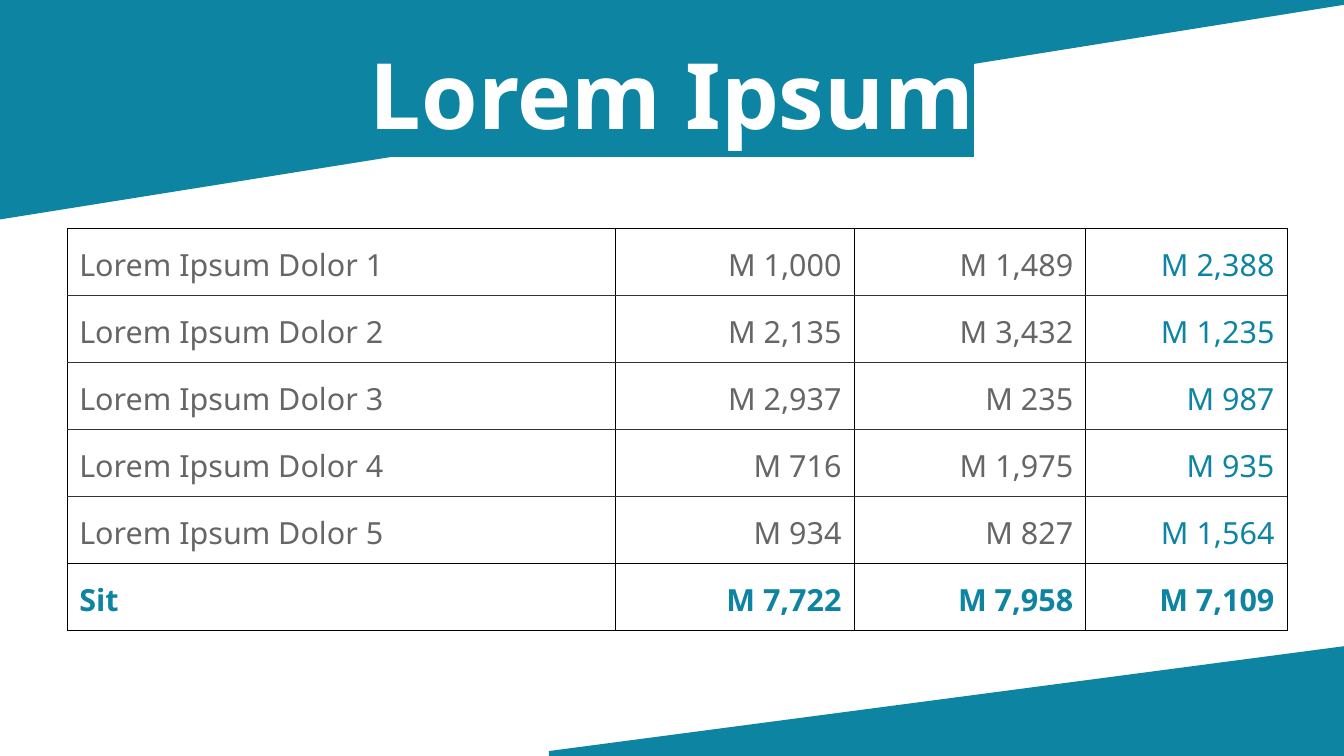
from lxml import etree
from pptx import Presentation
from pptx import util as u
from pptx.dml.color import RGBColor
from pptx.enum import text
from pptx.oxml.ns import qn

COLORS = {"teal": "0D84A1", "gray": "666666", "white": "FFFFFF",
          "rule": "333333", "black": "000000"}
FONT = "Noto Sans"


def add_run(paragraph, words, size, color, bold):
    run = paragraph.add_run()
    run.text = words
    run.font.size = u.Pt(size)
    run.font.name = FONT
    run.font.bold = bold
    run.font.color.rgb = RGBColor.from_string(COLORS[color])
    return run


def add_border(cell, position, side, color):
    line = etree.Element(qn("a:" + side), w="762")
    fill = etree.SubElement(line, qn("a:solidFill"))
    etree.SubElement(fill, qn("a:srgbClr"), val=COLORS[color])
    cell._tc.get_or_add_tcPr().insert(position, line)


prs = Presentation()
prs.slide_width = u.Inches(11.02)
prs.slide_height = u.Inches(6.2)
slide = prs.slides.add_slide(prs.slide_layouts[6])

bands = [
    [(4.5, 6.2), (11.02, 6.2), (11.02, 5.3), (4.5, 6.16)],
    [(0, 0), (11.02, 0), (11.02, 0.04), (0, 1.8)],
]
for corners in bands:
    points = [(u.Inches(x), u.Inches(y)) for x, y in corners]
    outline = slide.shapes.build_freeform(*points[0])
    outline.add_line_segments(points[1:], close=True)
    band = outline.convert_to_shape()
    band.shadow.inherit = False
    band.fill.solid()
    band.fill.fore_color.rgb = RGBColor.from_string(COLORS["teal"])
    band.line.fill.background()

amounts = [
    ("Lorem Ipsum Dolor 1", "M 1,000", "M 1,489", "M 2,388"),
    ("Lorem Ipsum Dolor 2", "M 2,135", "M 3,432", "M 1,235"),
    ("Lorem Ipsum Dolor 3", "M 2,937", "M 235", "M 987"),
    ("Lorem Ipsum Dolor 4", "M 716", "M 1,975", "M 935"),
    ("Lorem Ipsum Dolor 5", "M 934", "M 827", "M 1,564"),
    ("Sit", "M 7,722", "M 7,958", "M 7,109"),
]
widths = [4.49, 1.96, 1.9, 1.65]
total_row = len(amounts) - 1
last_column = len(widths) - 1
budget = slide.shapes.add_table(
    len(amounts), len(widths), u.Inches(0.55), u.Inches(1.87),
    u.Inches(10), u.Inches(0.55 * len(amounts))).table
budget.first_row = False
budget.horz_banding = False
for column, width in zip(budget.columns, widths):
    column.width = u.Inches(width)

for r, entries in enumerate(amounts):
    for c, entry in enumerate(entries):
        cell = budget.cell(r, c)
        cell.fill.solid()
        cell.fill.fore_color.rgb = RGBColor.from_string(COLORS["white"])
        cell.vertical_anchor = text.MSO_ANCHOR.MIDDLE
        cell.margin_left = cell.margin_right = u.Inches(0.1)
        cell.margin_top = cell.margin_bottom = u.Inches(0.05)
        paragraph = cell.text_frame.paragraphs[0]
        paragraph.line_spacing = 1.15
        paragraph.alignment = text.PP_ALIGN.RIGHT if c else text.PP_ALIGN.LEFT
        is_total = r == total_row
        color = "teal" if is_total or c == last_column else "gray"
        add_run(paragraph, entry, 18, color, is_total)
        top = "black" if r in (0, total_row) else "rule"
        bottom = "black" if r >= total_row - 1 else "rule"
        sides = [("lnL", "black"), ("lnR", "black"), ("lnT", top), ("lnB", bottom)]
        for position, (side, line_color) in enumerate(sides):
            add_border(cell, position, side, line_color)

title = slide.shapes.add_textbox(
    u.Inches(0.55), u.Inches(0.25), u.Inches(9.92), u.Inches(1.03)).text_frame
title.word_wrap = True
title.vertical_anchor = text.MSO_ANCHOR.MIDDLE
title.margin_left = title.margin_right = title.margin_top = title.margin_bottom = 0
heading = title.paragraphs[0]
heading.alignment = text.PP_ALIGN.CENTER
heading_run = add_run(heading, "Lorem Ipsum", 54, "white", True)
highlight = etree.Element(qn("a:highlight"))
etree.SubElement(highlight, qn("a:srgbClr"), val=COLORS["teal"])
heading_run._r.rPr.find(qn("a:latin")).addprevious(highlight)

prs.save("out.pptx")
